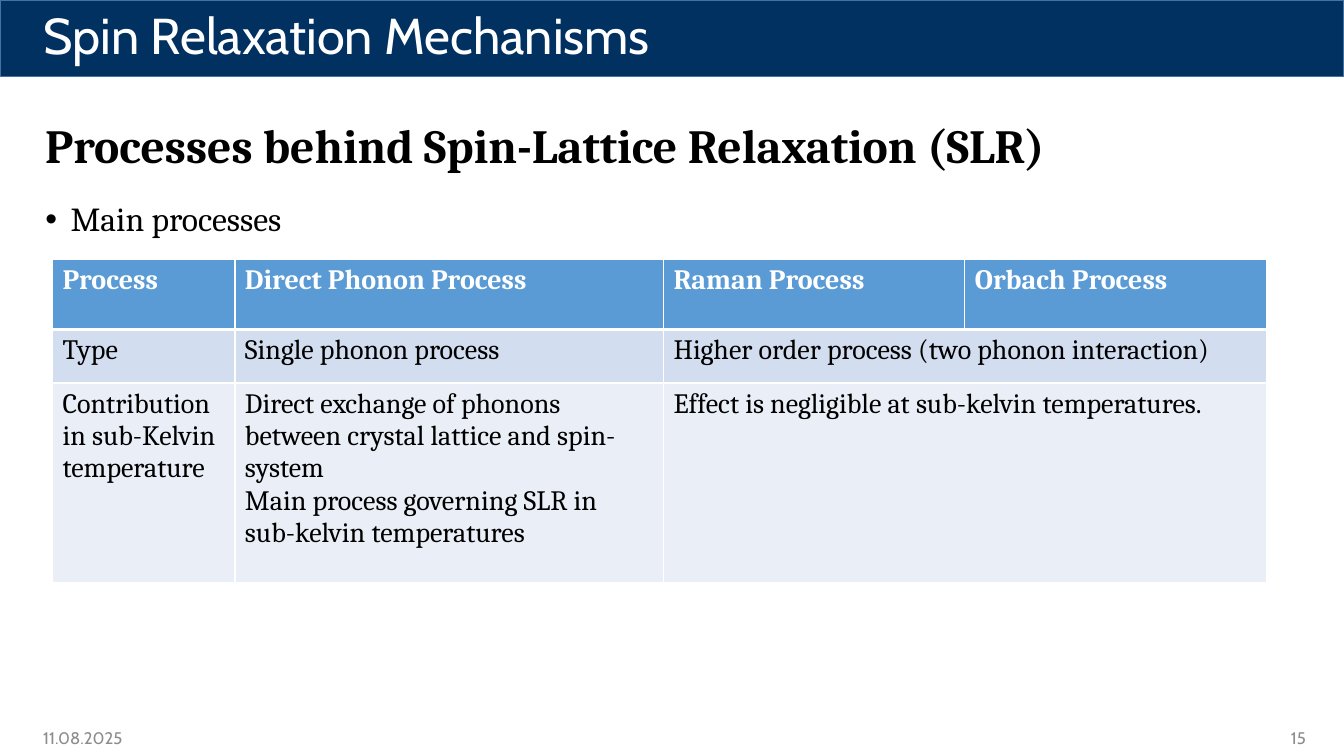
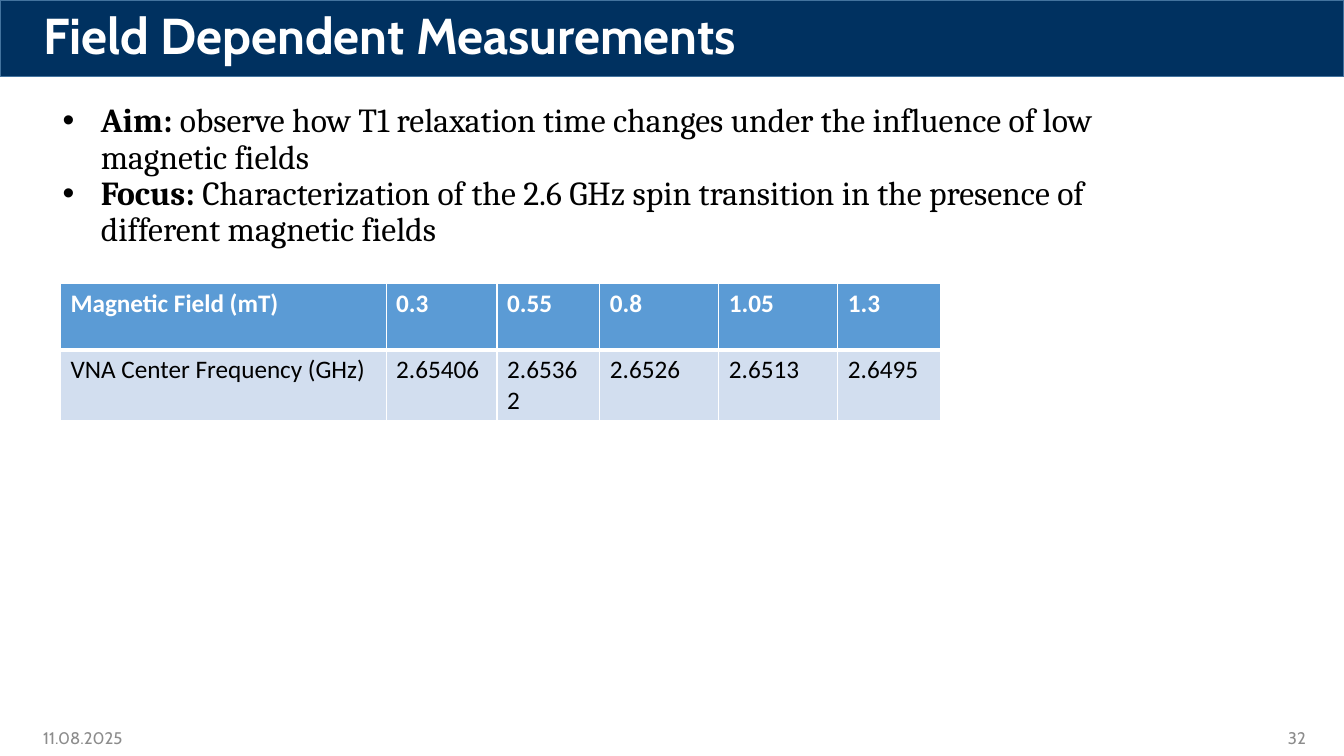
from dataclasses import dataclass

from lxml import etree
from pptx import Presentation
from pptx import util as u
from pptx.dml.color import RGBColor
from pptx.enum import shapes, text
from pptx.oxml import ns

PX = u.Inches(1) // 100
PAGE_WIDTH, PAGE_HEIGHT = 1333, 750


@dataclass(frozen=True)
class Theme:
    navy: str = "003160"
    band_line: str = "43739E"
    white: str = "FFFFFF"
    black: str = "000000"
    grey: str = "8C8C8C"
    header: str = "5B9BD5"
    stripes: tuple = ("D2DEEF", "EAEFF7")
    sans: str = "Cabin"
    serif: str = "Cambria"
    plain: str = "Calibri"
    title_size: int = 36
    heading_size: int = 34
    list_size: int = 24
    process_size: int = 20
    field_size: int = 18
    footer_size: int = 12


THEME = Theme()


def apply(target, formats):
    for name, value in formats.items():
        setattr(target, name, value)


def place(left, top, width, height):
    return dict(left=left * PX, top=top * PX, width=width * PX, height=height * PX)


def font_format(name, size, color, bold=False):
    return dict(name=name, size=u.Pt(size), color=color, bold=bold)


def style_font(font, formats):
    apply(font, {key: value for key, value in formats.items() if key != "color"})
    font.color.rgb = RGBColor.from_string(formats["color"])


def write(frame, paragraphs, font, **para_formats):
    for index, spans in enumerate(paragraphs):
        para = frame.paragraphs[0] if index == 0 else frame.add_paragraph()
        apply(para, para_formats)
        for words, bold in spans:
            span = para.add_run()
            span.text = words
            style_font(span.font, {**font, "bold": bold})


def add_text(page, bounds, words, font, frame_formats, **para_formats):
    box = page.shapes.add_textbox(**place(*bounds))
    apply(box.text_frame, dict(word_wrap=True, vertical_anchor=text.MSO_ANCHOR.MIDDLE, **frame_formats))
    write(box.text_frame, [[(words, font["bold"])]], font, **para_formats)


def add_band(page, layout):
    band = page.shapes.add_shape(shapes.MSO_SHAPE.RECTANGLE, **place(0, 0, PAGE_WIDTH, 76))
    band.shadow.inherit = False
    band.fill.solid()
    band.fill.fore_color.rgb = RGBColor.from_string(THEME.navy)
    band.line.color.rgb = RGBColor.from_string(THEME.band_line)
    band.line.width = u.Pt(1)
    layout.shapes._spTree.insert(2, band._element)


def add_page(deck, layout, title, number, bold_title=False):
    page = deck.slides.add_slide(layout)
    frame = page.shapes.title.text_frame
    apply(frame, dict(vertical_anchor=text.MSO_ANCHOR.MIDDLE, auto_size=text.MSO_AUTO_SIZE.NONE))
    font = font_format(THEME.sans, THEME.title_size, THEME.white)
    write(frame, [[(title, bold_title)]], font, alignment=text.PP_ALIGN.LEFT, line_spacing=0.9)
    footer_font = font_format(THEME.sans, THEME.footer_size, THEME.grey)
    footer_frame = dict(margin_top=0, margin_bottom=0, auto_size=text.MSO_AUTO_SIZE.SHAPE_TO_FIT_TEXT)
    for left, words, side in (
        (33, "11.08.2025", text.PP_ALIGN.LEFT),
        (1005, number, text.PP_ALIGN.RIGHT),
    ):
        add_text(page, (left, 722, 300, 20), words, footer_font, footer_frame, alignment=side)
    return page


def fill_list(page, bounds, paragraphs, indent):
    body = page.placeholders[1]
    apply(body, place(*bounds))
    frame = body.text_frame
    apply(frame, dict(vertical_anchor=text.MSO_ANCHOR.TOP, auto_size=text.MSO_AUTO_SIZE.NONE))
    font = font_format(THEME.serif, THEME.list_size, THEME.black)
    write(frame, paragraphs, font, line_spacing=0.9, space_before=u.Pt(0))
    for para in frame.paragraphs:
        properties = para._p.get_or_add_pPr()
        properties.set("marL", str(indent * PX))
        properties.set("indent", str(-indent * PX))


def add_borders(cell, widths):
    properties = cell._tc.get_or_add_tcPr()
    for index, (side, width) in enumerate(widths.items()):
        line = etree.Element(ns.qn(f"a:ln{side}"), w=str(u.Pt(width)))
        fill = etree.SubElement(line, ns.qn("a:solidFill"))
        etree.SubElement(fill, ns.qn("a:srgbClr"), val=THEME.white)
        properties.insert(index, line)


def fill_cell(cell, words, row, font_name, size):
    is_header = row == 0
    fill = THEME.header if is_header else THEME.stripes[(row - 1) % 2]
    cell.fill.solid()
    cell.fill.fore_color.rgb = RGBColor.from_string(fill)
    add_borders(cell, dict(L=1, R=1, T=3 if row == 1 else 1, B=3 if is_header else 1))
    color = THEME.white if is_header else THEME.black
    paragraphs = [[(line, is_header)] for line in words.split("\n")] if words else []
    write(cell.text_frame, paragraphs, font_format(font_name, size, color))


def add_grid(page, origin, widths, heights, rows, font_name, size):
    bounds = place(*origin, sum(widths), sum(heights))
    table = page.shapes.add_table(len(rows), len(widths), **bounds).table
    for column, width in zip(table.columns, widths):
        column.width = width * PX
    for line, height in zip(table.rows, heights):
        line.height = height * PX
    for row, entries in enumerate(rows):
        for column, words in enumerate(entries):
            fill_cell(table.cell(row, column), words, row, font_name, size)
            if words is None:
                table.cell(row, column - 1).merge(table.cell(row, column))


def build_mechanisms(deck, layout):
    page = add_page(deck, layout, "Spin Relaxation Mechanisms", "15")
    add_text(
        page, (35, 98, 1207, 98), "Processes behind Spin-Lattice Relaxation (SLR)",
        font_format(THEME.serif, THEME.heading_size, THEME.black, True), {}, line_spacing=0.9,
    )
    fill_list(page, (35, 196, 1272, 479), [[("Main processes", False)]], 25)
    rows = [
        ["Process", "Direct Phonon Process", "Raman Process", "Orbach Process"],
        ["Type", "Single phonon process", "Higher order process (two phonon interaction)", None],
        [
            "Contribution in sub-Kelvin temperature",
            "Direct exchange of phonons between crystal lattice and spin-system\n"
            "Main process governing SLR in sub-kelvin temperatures",
            "Effect is negligible at sub-kelvin temperatures.",
            None,
        ],
    ]
    add_grid(page, (52, 257), [181, 425, 299, 299], [70, 53, 198], rows, THEME.serif, THEME.process_size)
    return page


def build_measurements(deck, layout):
    page = add_page(deck, layout, "Field Dependent Measurements", "32", bold_title=True)
    goals = [
        [
            ("Aim: ", True),
            ("observe how T1 relaxation time changes under the influence of low magnetic fields", False),
        ],
        [
            ("Focus:", True),
            (" Characterization of the 2.6 GHz spin transition in the presence of different magnetic fields", False),
        ],
    ]
    fill_list(page, (52, 98, 1043, 154), goals, 38)
    rows = [
        ["Magnetic Field (mT)", "0.3", "0.55", "0.8", "1.05", "1.3"],
        ["VNA Center Frequency (GHz)", "2.65406", "2.65362", "2.6526", "2.6513", "2.6495"],
    ]
    add_grid(page, (60, 281), [323, 110, 102, 118, 118, 102], [66, 66], rows, THEME.plain, THEME.field_size)


def main():
    deck = Presentation()
    apply(deck, dict(slide_width=PAGE_WIDTH * PX, slide_height=PAGE_HEIGHT * PX))
    layout = deck.slide_layouts.get_by_name("Title and Content")
    apply(layout.placeholders[0], place(33, 0, 1190, 76))
    page = build_mechanisms(deck, layout)
    add_band(page, layout)
    build_measurements(deck, layout)
    deck.save("out.pptx")


if __name__ == "__main__":
    main()
